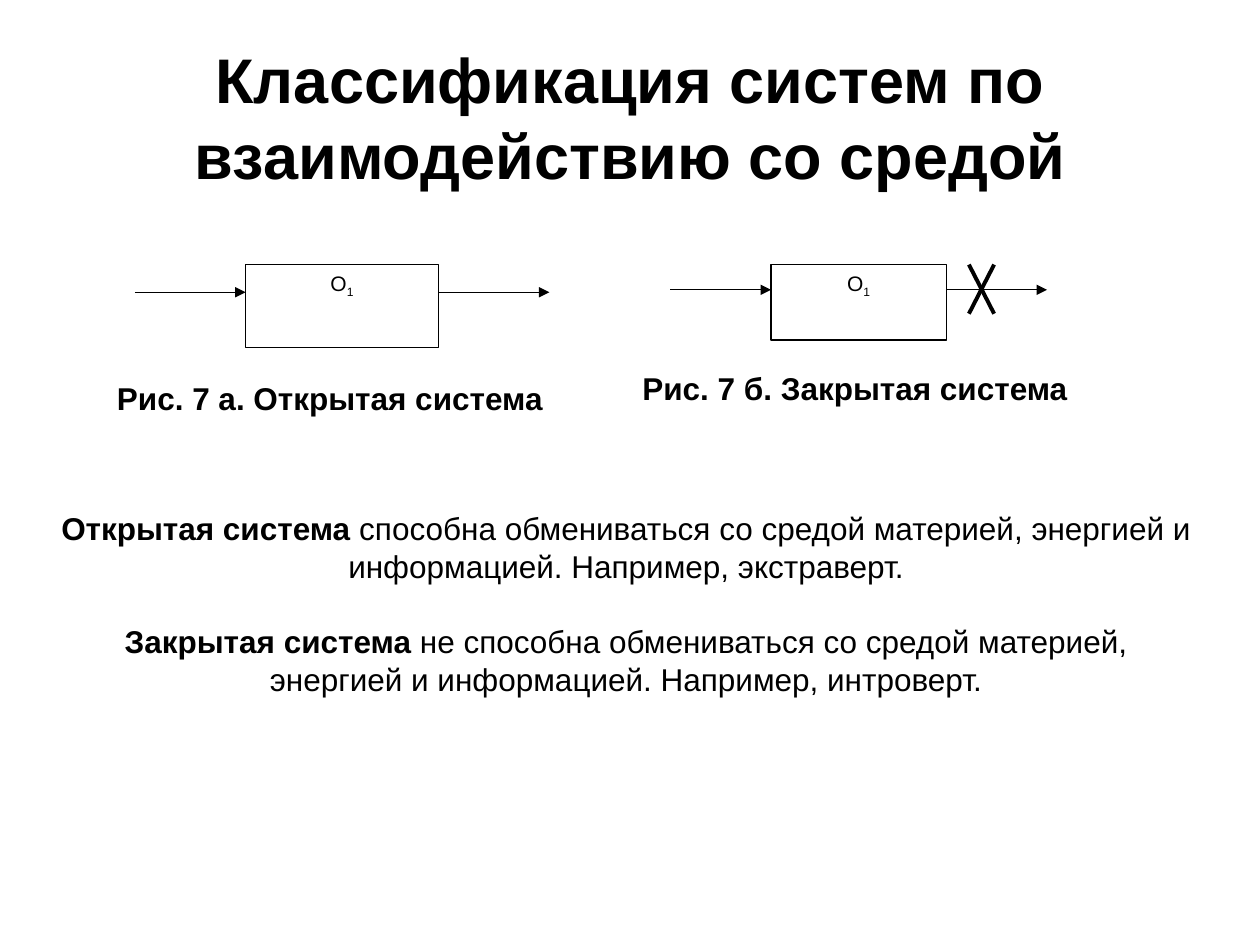
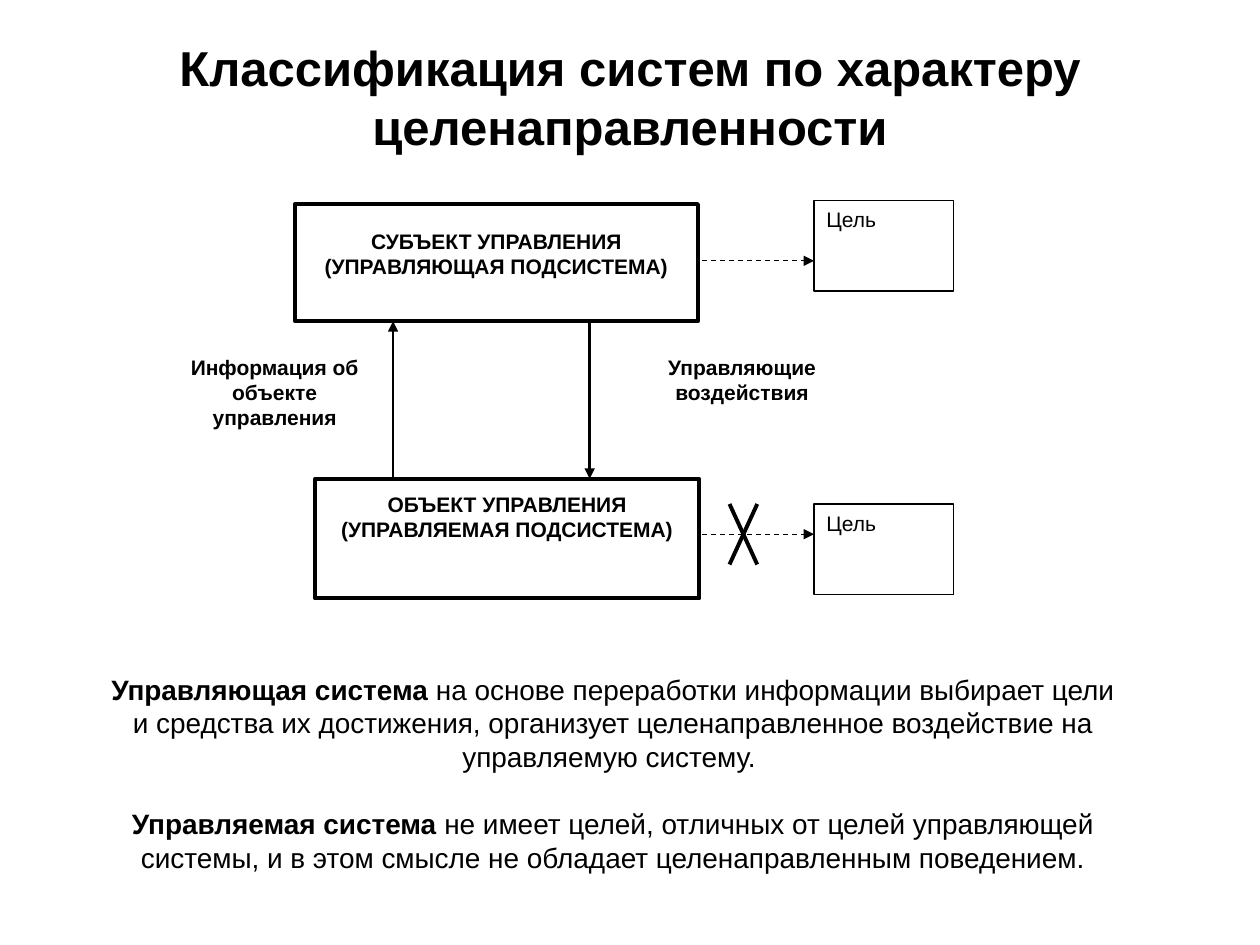
from dataclasses import dataclass

import lxml.etree
import pptx
import pptx.dml.color
import pptx.enum.dml
import pptx.enum.shapes
import pptx.enum.text
import pptx.oxml.ns
import pptx.slide
import pptx.text.text
import pptx.util

Inches = pptx.util.Inches
Pt = pptx.util.Pt
Align = pptx.enum.text.PP_ALIGN
Anchor = pptx.enum.text.MSO_ANCHOR
qn = pptx.oxml.ns.qn


@dataclass(frozen=True)
class Theme:
    font: str = "Arial"
    ink: pptx.dml.color.RGBColor = pptx.dml.color.RGBColor(0, 0, 0)
    paper: pptx.dml.color.RGBColor = pptx.dml.color.RGBColor(255, 255, 255)
    label_size: float = 12
    caption_size: float = 18
    thin: float = 0.75
    medium: float = 1.5
    thick: float = 2.25
    line_height: float = 1.2


THEME = Theme()


@dataclass(frozen=True)
class Span:
    text: str
    bold: bool = False
    subscript: bool = False


@dataclass(frozen=True)
class Area:
    left: float
    top: float
    width: float
    height: float

    @property
    def right(self) -> float:
        return self.left + self.width

    @property
    def bottom(self) -> float:
        return self.top + self.height

    def lengths(self) -> list[pptx.util.Length]:
        return [Inches(v) for v in (self.left, self.top, self.width, self.height)]


@dataclass(frozen=True)
class TextStyle:
    size: float = THEME.label_size
    align: Align = Align.CENTER
    anchor: Anchor = Anchor.TOP
    side_inset: float = 0.1
    top_inset: float = 0.05
    gap: float = 0


@dataclass(frozen=True)
class SystemDiagram:
    box: Area
    arrow_length: float
    arrow_drop: float
    caption: str
    caption_area: Area


@dataclass(frozen=True)
class Subsystem:
    box: Area
    lines: tuple[str, str]
    top_inset: float
    goal_top: float
    arrow_y: float


Paragraphs = list[list[Span]]
LABEL = TextStyle(side_inset=0.04, top_inset=0.02)

OPEN_SYSTEM = SystemDiagram(Area(1.95, 2.1, 1.53, 0.66), 0.88, 0.22,
                            "Рис. 7 а. Открытая система", Area(0.83, 2.96, 3.65, 0.4))
CLOSED_SYSTEM = SystemDiagram(Area(6.12, 2.1, 1.39, 0.6), 0.8, 0.2,
                              "Рис. 7 б. Закрытая система", Area(5, 2.88, 3.65, 0.4))
SUBJECT = Subsystem(Area(2.34, 1.62, 3.2, 0.93),
                    ("СУБЪЕКТ УПРАВЛЕНИЯ", "(УПРАВЛЯЮЩАЯ ПОДСИСТЕМА)"), 0.19, 1.59, 2.07)
MANAGED = Subsystem(Area(2.5, 3.8, 3.05, 0.95),
                    ("ОБЪЕКТ УПРАВЛЕНИЯ", "(УПРАВЛЯЕМАЯ ПОДСИСТЕМА)"), 0.1, 4, 4.24)


def fill_text(frame: pptx.text.text.TextFrame, paragraphs: Paragraphs, style: TextStyle) -> None:
    frame.word_wrap = True
    frame.auto_size = pptx.enum.text.MSO_AUTO_SIZE.NONE
    frame.vertical_anchor = style.anchor
    frame.margin_left = frame.margin_right = Inches(style.side_inset)
    frame.margin_top = Inches(style.top_inset)
    frame.margin_bottom = Inches(min(style.top_inset, 0.05))
    for index, spans in enumerate(paragraphs):
        para = frame.add_paragraph() if index else frame.paragraphs[0]
        para.alignment = style.align
        if index and style.gap:
            para.space_before = Pt(style.gap)
        for span in spans:
            run = para.add_run()
            run.text = span.text
            run.font.name = THEME.font
            run.font.size = Pt(style.size)
            run.font.bold = span.bold
            run.font.color.rgb = THEME.ink
            if span.subscript:
                run.font._element.set("baseline", "-25000")


def add_titled_page(deck: pptx.presentation.Presentation, title: str, size: float,
                    height: float) -> pptx.slide.Slide:
    page = deck.slides.add_slide(deck.slide_layouts.get_by_name("Title Only"))
    box = page.shapes.title
    box.left, box.top, box.width, box.height = Area(0.5, 0.3, 9, height).lengths()
    fill_text(box.text_frame, [[Span(title, bold=True)]], TextStyle(size, anchor=Anchor.MIDDLE))
    return page


def add_text(page: pptx.slide.Slide, area: Area, paragraphs: Paragraphs, style: TextStyle) -> None:
    fill_text(page.shapes.add_textbox(*area.lengths()).text_frame, paragraphs, style)


def add_definitions(page: pptx.slide.Slide, area: Area, size: float,
                    definitions: list[tuple[str, str]]) -> None:
    """Centred paragraphs, each opening with a bold term, one line apart."""
    paragraphs = [[Span(term, bold=True), Span(meaning)] for term, meaning in definitions]
    add_text(page, area, paragraphs,
             TextStyle(size, anchor=Anchor.MIDDLE, gap=size * THEME.line_height))


def add_box(page: pptx.slide.Slide, area: Area, paragraphs: Paragraphs, style: TextStyle,
            weight: float = THEME.thin) -> None:
    box = page.shapes.add_shape(pptx.enum.shapes.MSO_SHAPE.RECTANGLE, *area.lengths())
    box.shadow.inherit = False
    box.fill.solid()
    box.fill.fore_color.rgb = THEME.paper
    box.line.color.rgb = THEME.ink
    box.line.width = Pt(weight)
    fill_text(box.text_frame, paragraphs, style)


def add_line(page: pptx.slide.Slide, start: tuple[float, float], end: tuple[float, float],
             weight: float = THEME.thin, arrow: bool = True, dashed: bool = False) -> None:
    line = page.shapes.add_connector(pptx.enum.shapes.MSO_CONNECTOR.STRAIGHT,
                                     *(Inches(v) for v in start + end))
    line.line.color.rgb = THEME.ink
    line.line.width = Pt(weight)
    if dashed:
        line.line.dash_style = pptx.enum.dml.MSO_LINE.DASH
    properties = line._element.spPr
    if arrow:
        lxml.etree.SubElement(properties.find(qn("a:ln")), qn("a:tailEnd"), type="triangle")
    lxml.etree.SubElement(properties, qn("a:effectLst"))


def add_cross(page: pptx.slide.Slide, area: Area) -> None:
    for start_y, end_y in ((area.top, area.bottom), (area.bottom, area.top)):
        add_line(page, (area.left, start_y), (area.right, end_y), THEME.thick, arrow=False)


def add_system(page: pptx.slide.Slide, system: SystemDiagram) -> None:
    box = system.box
    add_box(page, box, [[Span("О"), Span("1", subscript=True)]], TextStyle())
    arrow_y = box.top + system.arrow_drop
    for start_x in (box.left - system.arrow_length, box.right):
        add_line(page, (start_x, arrow_y), (start_x + system.arrow_length, arrow_y))
    add_text(page, system.caption_area, [[Span(system.caption, bold=True)]],
             TextStyle(THEME.caption_size, Align.LEFT, Anchor.MIDDLE))


def add_subsystem(page: pptx.slide.Slide, part: Subsystem) -> None:
    """A heavy box with a dashed arrow to its goal."""
    add_box(page, part.box, [[Span(line, bold=True)] for line in part.lines],
            TextStyle(side_inset=0.04, top_inset=part.top_inset), THEME.thick)
    goal = Area(6.46, part.goal_top, 1.11, 0.72)
    add_box(page, goal, [[Span("Цель")]], TextStyle(align=Align.LEFT))
    add_line(page, (5.57, part.arrow_y), (goal.left, part.arrow_y), dashed=True)


def build_interaction_page(deck: pptx.presentation.Presentation) -> None:
    page = add_titled_page(deck, "Классификация систем по взаимодействию со средой", 36, 1.25)
    for system in (OPEN_SYSTEM, CLOSED_SYSTEM):
        add_system(page, system)
    add_cross(page, Area(7.69, 2.1, 0.2, 0.39))
    add_definitions(page, Area(0.35, 3.99, 9.24, 1.6), 18, [
        ("Открытая система", " способна обмениваться со средой материей, энергией и "
                             "информацией. Например, экстраверт."),
        ("Закрытая система", " не способна обмениваться со средой материей, энергией и "
                             "информацией. Например, интроверт."),
    ])


def build_purpose_page(deck: pptx.presentation.Presentation) -> None:
    page = add_titled_page(deck, "Классификация систем по характеру целенаправленности", 28, 0.93)
    for part in (SUBJECT, MANAGED):
        add_subsystem(page, part)
    add_cross(page, Area(5.79, 4, 0.22, 0.48))
    upper, lower = SUBJECT.box.bottom, MANAGED.box.top
    add_line(page, (4.68, upper), (4.68, lower), THEME.medium)
    add_line(page, (3.12, lower), (3.12, upper), THEME.medium)
    for area, label in ((Area(1.34, 2.79, 1.68, 0.94), "Информация об объекте управления"),
                        (Area(4.9, 2.79, 1.98, 0.78), "Управляющие воздействия")):
        add_text(page, area, [[Span(label, bold=True)]], LABEL)
    add_definitions(page, Area(0.75, 5.15, 8.23, 1.97), 16, [
        ("Управляющая система", " на основе переработки информации выбирает цели и средства "
                                "их достижения, организует целенаправленное воздействие на "
                                "управляемую систему. "),
        ("Управляемая система", " не имеет целей, отличных от целей управляющей системы, и в "
                                "этом смысле не обладает целенаправленным поведением."),
    ])


def main() -> None:
    deck = pptx.Presentation()
    deck.slide_width, deck.slide_height = Inches(10), Inches(7.5)
    build_interaction_page(deck)
    build_purpose_page(deck)
    deck.save("out.pptx")


if __name__ == "__main__":
    main()
